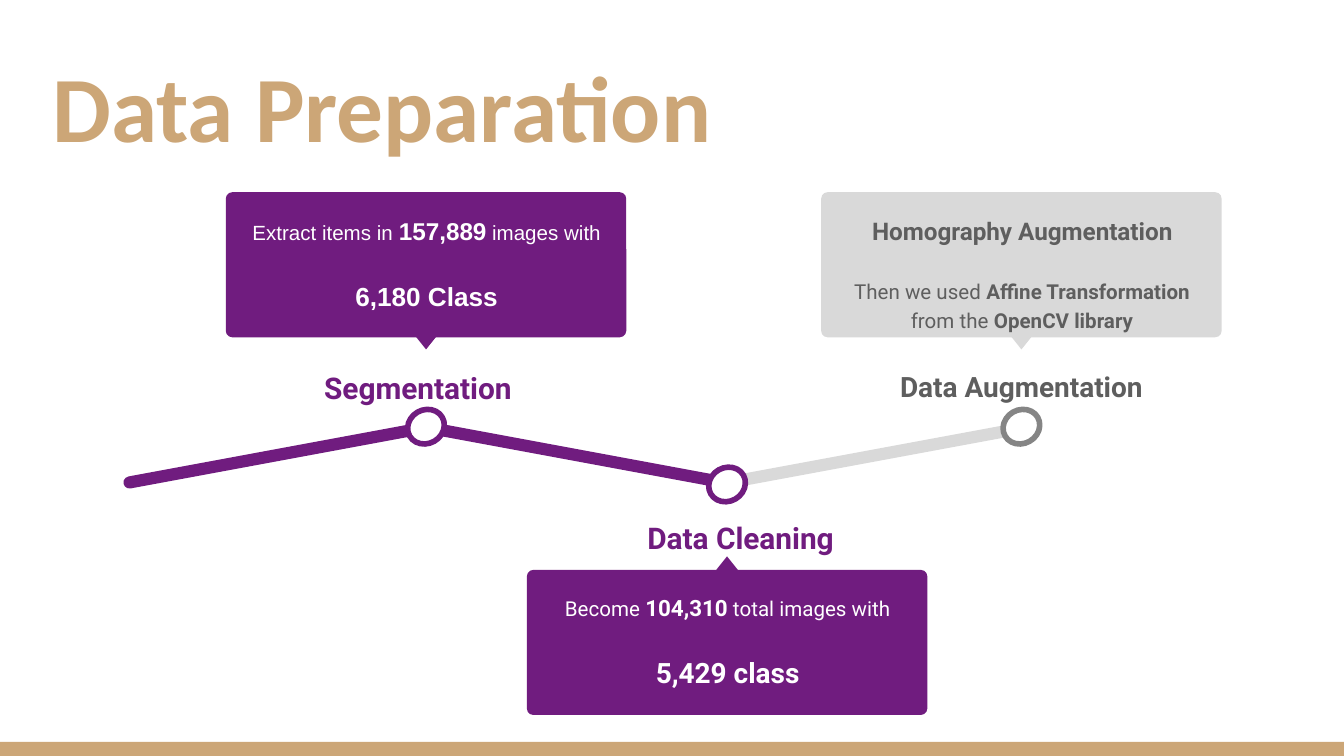
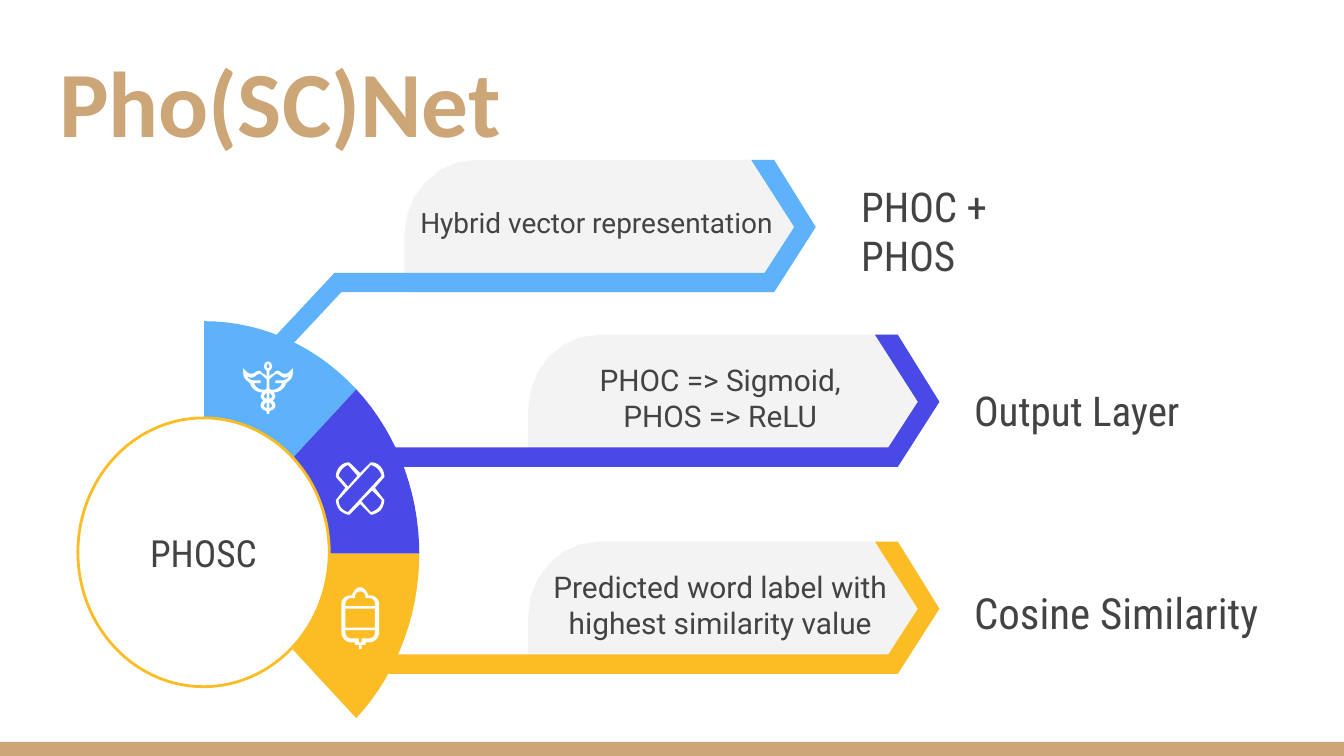
from dataclasses import dataclass
from math import cos, radians, sin

from pptx import Presentation
from pptx.dml.color import RGBColor
from pptx.enum.shapes import MSO_SHAPE
from pptx.enum.text import MSO_ANCHOR, MSO_AUTO_SIZE, PP_ALIGN
from pptx.util import Inches, Pt

SLIDE_WIDTH, SLIDE_HEIGHT = Inches(10), Inches(5.625)
COLUMNS, ROWS = 100, 56.25
CELL = SLIDE_WIDTH / COLUMNS
ICON_UNIT = 0.1

TAN, PURPLE, SILVER, WHITE = "CCA677", "701C7F", "D9D9D9", "FFFFFF"
GRAY, NODE_GRAY, DARK, PALE = "5E5E5E", "858585", "434343", "F3F3F3"
SKY, INDIGO, AMBER = "5EB2FC", "4949E7", "FCBD24"

HUB_CENTER, FAN_RADII = (15.2, 41.2), (16, 17.3)


@dataclass
class Box:
    """A rectangle measured in grid cells."""
    left: float
    top: float
    width: float
    height: float

    def inner(self, left, top, width, height):
        """Return a box offset from this one's corner."""
        return Box(self.left + left, self.top + top, width, height)

    def centered(self, top, width, height, shift=0):
        """Return a box on this one's vertical axis, moved sideways by shift."""
        return self.inner((self.width - width) / 2 + shift, top, width, height)

    def lengths(self):
        """Return the four lengths in EMU."""
        return [cells(value) for value in (self.left, self.top, self.width, self.height)]


@dataclass
class Icon:
    """Contours of a symbol; halves are mirrored and joined."""
    left: float
    top: float
    width: float
    halves: list
    pairs: tuple = ()
    singles: tuple = ()

    def contours(self):
        """Return every closed contour in grid cells."""
        result = [flatten(single) for single in self.singles]
        for pair in self.pairs:
            points = flatten(pair)
            result += [points, self.mirror(points)]
        for half in self.halves:
            points = flatten(half)
            result.append(points + self.mirror(points))
        return [[(self.left + x * ICON_UNIT, self.top + y * ICON_UNIT) for x, y in points]
                for points in result]

    def mirror(self, points):
        """Return the points reflected left to right, in reverse order."""
        return [(self.width - x, y) for x, y in reversed(points)]


STAFF = Icon(18.1, 26.9, 37, halves=[
    [(18.5, 0), (16.5, 0, 15.5, 2, 15.5, 4), (15.5, 5, 16.5, 6, 17.5, 7), (17.5, 11),
     (16.5, 10, 15.5, 9, 14.5, 9), (13.5, 8, 13, 7, 12, 7), (11, 7, 10, 7, 9, 8),
     (8, 9, 7, 9, 6, 9), (5, 9, 4, 9, 3, 8), (0, 5), (0, 8), (0, 12, 2, 14, 5, 16),
     (6, 20, 10, 23, 14, 23), (14, 24, 13, 25, 13, 26), (13, 27, 14, 28, 15, 29),
     (14, 30, 13, 31, 13, 33), (13, 34, 14, 35, 15, 36), (16, 36, 17, 37, 17.5, 37),
     (17.5, 39)],
    [(18.5, 2), (17.5, 2, 17.5, 3, 17.5, 4), (17.5, 4.5, 18, 5, 18.5, 5)],
], pairs=[
    [(12, 9), (13, 9, 13, 10, 14, 10), (15, 11, 16, 12, 17.5, 13), (17.5, 20),
     (17, 21, 16, 21, 15, 21), (12, 21, 9, 19, 8, 16), (13, 16), (13, 14), (8, 14),
     (6, 14, 4, 13, 3, 11), (4, 11, 5, 12, 6, 12), (7, 12, 9, 11, 10, 10),
     (11, 10, 11, 9, 12, 9)],
    [(17.5, 23), (17.5, 28), (16.5, 27, 15.5, 27, 15.5, 26), (15.5, 25, 16.5, 24, 17.5, 23)],
    [(17.5, 30), (17.5, 35), (16.5, 34, 15.5, 34, 15.5, 33), (15.5, 32, 16.5, 31, 17.5, 30)],
])
BANDAGE = Icon(25, 34.4, 36, halves=[
    [(18, 8), (10, 0), (7, 0, 5, 1, 3, 3), (1, 5, 0, 8, 0, 10), (0, 11), (7, 19), (0, 28),
     (0, 31, 1, 33, 3, 36), (5, 37, 7, 39, 10, 39), (18, 31)],
], singles=[
    [(9, 2), (16, 10), (9, 18), (2, 10), (3, 6, 6, 3, 9, 2)],
    [(26, 2), (30, 3, 33, 6, 34, 10), (9, 37), (5, 36, 2, 33, 2, 28)],
    [(27, 21), (34, 28), (34, 33, 30, 36, 26, 37), (19, 29)],
])
DRIP = Icon(25.4, 43.7, 28, halves=[
    [(14, 0), (11, 0, 9, 3, 8, 6), (7, 6), (3, 6, 0, 9, 0, 12), (0, 34),
     (0, 37, 3, 41, 7, 41), (10, 41), (10, 43), (13, 43), (13, 46)],
    [(14, 3), (12, 3, 10, 5, 10, 7), (10, 8), (7, 8), (5, 8, 3, 10, 3, 12), (3, 14)],
    [(3, 16), (3, 30)],
    [(3, 32), (3, 34), (3, 36, 5, 38, 7, 38), (13, 38), (13, 41)],
])


def cells(count):
    """Convert grid cells to EMU."""
    return round(count * CELL)


def color(value):
    """Turn a hex string into a colour."""
    return RGBColor.from_string(value)


def flatten(segments, steps=6):
    """Turn points and cubic curves into a list of points."""
    points = []
    for segment in segments:
        if len(segment) == 2:
            points.append(segment)
            continue
        curve = points[-1] + segment
        for step in range(1, steps + 1):
            t = step / steps
            weights = ((1 - t) ** 3, 3 * t * (1 - t) ** 2, 3 * t * t * (1 - t), t ** 3)
            points.append(tuple(sum(weight * value for weight, value in zip(weights, curve[axis::2]))
                                for axis in (0, 1)))
    return points


def paint(shape, fill, line=None, line_width=1):
    """Give a shape a flat fill and an optional outline."""
    shape.shadow.inherit = False
    shape.fill.solid()
    shape.fill.fore_color.rgb = color(fill)
    if line:
        shape.line.color.rgb = color(line)
        shape.line.width = Pt(line_width)
    else:
        shape.line.fill.background()
    return shape


def add_preset(shapes, kind, box, fill, line=None, line_width=1, rotation=0, rounding=None):
    """Add a painted preset shape."""
    shape = paint(shapes.add_shape(kind, *box.lengths()), fill, line, line_width)
    shape.rotation = rotation
    if rounding is not None:
        shape.adjustments[0] = rounding
    return shape


def add_outline(shapes, contours, fill):
    """Add a painted freeform from closed contours."""
    builder = None
    for contour in contours:
        points = [(cells(x), cells(y)) for x, y in contour]
        if builder is None:
            builder = shapes.build_freeform(*points[0], scale=1.0)
        else:
            builder.move_to(*points[0])
        builder.add_line_segments(points[1:], close=True)
    return paint(builder.convert_to_shape(), fill)


def write(shape, paragraphs, font, ink, align=PP_ALIGN.CENTER, anchor=MSO_ANCHOR.MIDDLE,
          insets=(1, 1, 1, 1), spacing=None, after=None):
    """Write paragraphs, each a list of (text, size, bold) runs."""
    frame = shape.text_frame
    frame.word_wrap, frame.auto_size, frame.vertical_anchor = True, MSO_AUTO_SIZE.NONE, anchor
    (frame.margin_left, frame.margin_top,
     frame.margin_right, frame.margin_bottom) = map(cells, insets)
    for index, runs in enumerate(paragraphs):
        paragraph = frame.add_paragraph() if index else frame.paragraphs[0]
        paragraph.alignment = align
        if spacing:
            paragraph.line_spacing = spacing
        if index:
            paragraph.space_before = Pt(16)
            if after:
                paragraph.space_after = Pt(after)
        paragraph.font.name = font
        paragraph.font.color.rgb = color(ink)
        if len(runs) == 1:
            paragraph.text, size, paragraph.font.bold = runs[0]
            paragraph.font.size = Pt(size)
            continue
        for text, size, bold in runs:
            run = paragraph.add_run()
            run.text, run.font.size, run.font.bold = text, Pt(size), bold


def add_text(shapes, box, paragraphs, font, ink, **options):
    """Add a text box."""
    write(shapes.add_textbox(*box.lengths()), paragraphs, font, ink, **options)


def add_band(layout, slide):
    """Put the bottom band on the shared layout."""
    band = add_preset(slide.shapes, MSO_SHAPE.RECTANGLE, Box(0, 55.2, COLUMNS, ROWS - 55.2), TAN)
    layout.element.cSld.spTree.insert(2, band.element)


def add_titled_slide(presentation, title, box):
    """Add a slide with the shared title style."""
    slide = presentation.slides.add_slide(presentation.slide_layouts[5])
    shape = slide.shapes.title
    shape.left, shape.top, shape.width, shape.height = box.lengths()
    write(shape, [[(title, 50, True)]], "Calibri", TAN,
          align=PP_ALIGN.LEFT, anchor=MSO_ANCHOR.BOTTOM)
    return slide


def add_milestone(slide, card, arm_left, label, label_size, label_shift, paragraphs, above=True,
                  fill=PURPLE, ring=PURPLE, label_ink=PURPLE, ink=WHITE, font="Roboto", after=16):
    """Add one timeline step: arm, card, pointer, label and node."""
    add_preset(slide.shapes, MSO_SHAPE.ROUNDED_RECTANGLE, Box(arm_left, 33.4, 23.4, 0.9), fill,
               rotation=-10.5 if above else 10.5, rounding=0.5)
    pointer_top, label_top, node_top = (10.7, 11.8, 16.2) if above else (-1, -5.1, -7.6)
    shapes = slide.shapes.add_group_shape().shapes
    add_preset(shapes, MSO_SHAPE.ROUNDED_RECTANGLE, card, fill, rounding=0.045)
    add_preset(shapes, MSO_SHAPE.ISOSCELES_TRIANGLE, card.centered(pointer_top, 1.6, 1), fill,
               rotation=180 if above else 0)
    add_text(shapes, card.centered(label_top, 23.2, 4.3, label_shift), [[(label, label_size, True)]],
             "Roboto", label_ink, anchor=MSO_ANCHOR.TOP, spacing=1.15)
    add_preset(shapes, MSO_SHAPE.OVAL, card.centered(node_top, 2.8, 2.5), WHITE, ring, 3,
               rotation=330.2)
    add_text(shapes, card.inner(0.8, 0.5, 28.3, 9.6), paragraphs, font, ink,
             anchor=MSO_ANCHOR.TOP, spacing=1.15, after=after)


def add_branch(slide, banner, tail, text, size, start_angle, fill, icon, label, label_size, label_box):
    """Add one fan sector with its icon, arrow banner and label."""
    shapes = slide.shapes.add_group_shape().shapes
    add_text(shapes, banner.inner(*label_box), [[(label, label_size, False)]],
             "Roboto Condensed", DARK, align=PP_ALIGN.LEFT)

    def place(points):
        """Shift points to the banner's corner."""
        return [(banner.left + x, banner.top + y) for x, y in points]

    width, height = banner.width, banner.height
    tip = [(width - 3.1, height), (width, 5), (width - 3.1, 0)]
    panel = flatten([(5.3, 0), (2.4, 0, 0, 2.5, 0, 5.6), (0, height)]) + tip
    write(add_outline(shapes, [place(panel)], PALE), [[(text, size, False)]], "Roboto", DARK,
          insets=(1, 1, 3, 1.5))
    head = [(width - 4.8, 0), (width - 1.6, 5), (width - 3.8, 8.4)]
    add_outline(shapes, [place(head + tail + tip)], fill)
    angles = [radians(start_angle - step * 3) for step in range(16)]
    arc = [(HUB_CENTER[0] + FAN_RADII[0] * cos(angle), HUB_CENTER[1] - FAN_RADII[1] * sin(angle))
           for angle in angles]
    add_outline(shapes, [[HUB_CENTER] + arc], fill)
    add_outline(shapes, icon.contours(), WHITE)


def build_preparation(presentation):
    """Build the timeline slide."""
    slide = add_titled_slide(presentation, "Data Preparation", Box(2.9, 3.9, 93.2, 9.1))
    add_milestone(slide, Box(61.1, 14.3, 29.8, 10.8), 53.6, "Data Augmentation", 15, 0, [
        [("Homography Augmentation", 13, True)],
        [("Then we used ", 11, False), ("Affine Transformation ", 11, True),
         ("from the ", 11, False), ("OpenCV library", 11, True)],
    ], fill=SILVER, ring=NODE_GRAY, label_ink=GRAY, ink=GRAY)
    add_milestone(slide, Box(39.2, 42.4, 29.8, 10.8), 31.1, "Data Cleaning", 16, 1, [
        [("Become ", 11, False), ("104,310", 12, True), (" total images with", 11, False)],
        [("5,429 class", 15, True)],
    ], above=False)
    add_milestone(slide, Box(16.8, 14.3, 29.8, 10.8), 9, "Segmentation", 16, -0.6, [
        [("Extract items in ", 11, False), ("157,889", 13, True), (" images with", 11, False)],
        [("6,180 Class", 14, True)],
    ], font="Arial", after=None)
    return slide


def build_network(presentation):
    """Build the fan diagram slide."""
    slide = add_titled_slide(presentation, "Pho(SC)Net", Box(3.4, 3.5, 93.2, 9.1))
    bent_tail = [(-5.2, 8.4), (-13.8, 17.6), (-12.9, 18.6), (-4.7, 9.85)]
    straight_tail = [(-12.5, 8.4), (-12.5, 9.85)]
    add_branch(slide, Box(30.1, 11.9, 30.6, 9.85), bent_tail, "Hybrid vector representation", 15,
               90, SKY, STAFF, "PHOC + PHOS", 22, (33, 2, 17.7, 6.5))
    add_branch(slide, Box(39.3, 24.9, 30.6, 9.85), straight_tail,
               "PHOC => Sigmoid,\vPHOS => ReLU", 16,
               45, INDIGO, BANDAGE, "Output Layer", 22, (32.2, 2.4, 17.7, 6.5))
    add_branch(slide, Box(39.3, 40.3, 30.6, 9.85), straight_tail,
               "Predicted word label with highest similarity value", 16,
               0, AMBER, DRIP, "Cosine Similarity", 23, (32.2, 2, 23.4, 6.5))
    hub = add_preset(slide.shapes, MSO_SHAPE.OVAL, Box(5.8, 31.1, 18.7, 20), WHITE, AMBER, 1.5)
    write(hub, [[("PHOSC", 20, False)]], "Roboto Condensed", DARK)


def main():
    """Build and save the presentation."""
    presentation = Presentation()
    presentation.slide_width, presentation.slide_height = SLIDE_WIDTH, SLIDE_HEIGHT
    add_band(presentation.slide_layouts[5], build_preparation(presentation))
    build_network(presentation)
    presentation.save("out.pptx")


if __name__ == "__main__":
    main()
